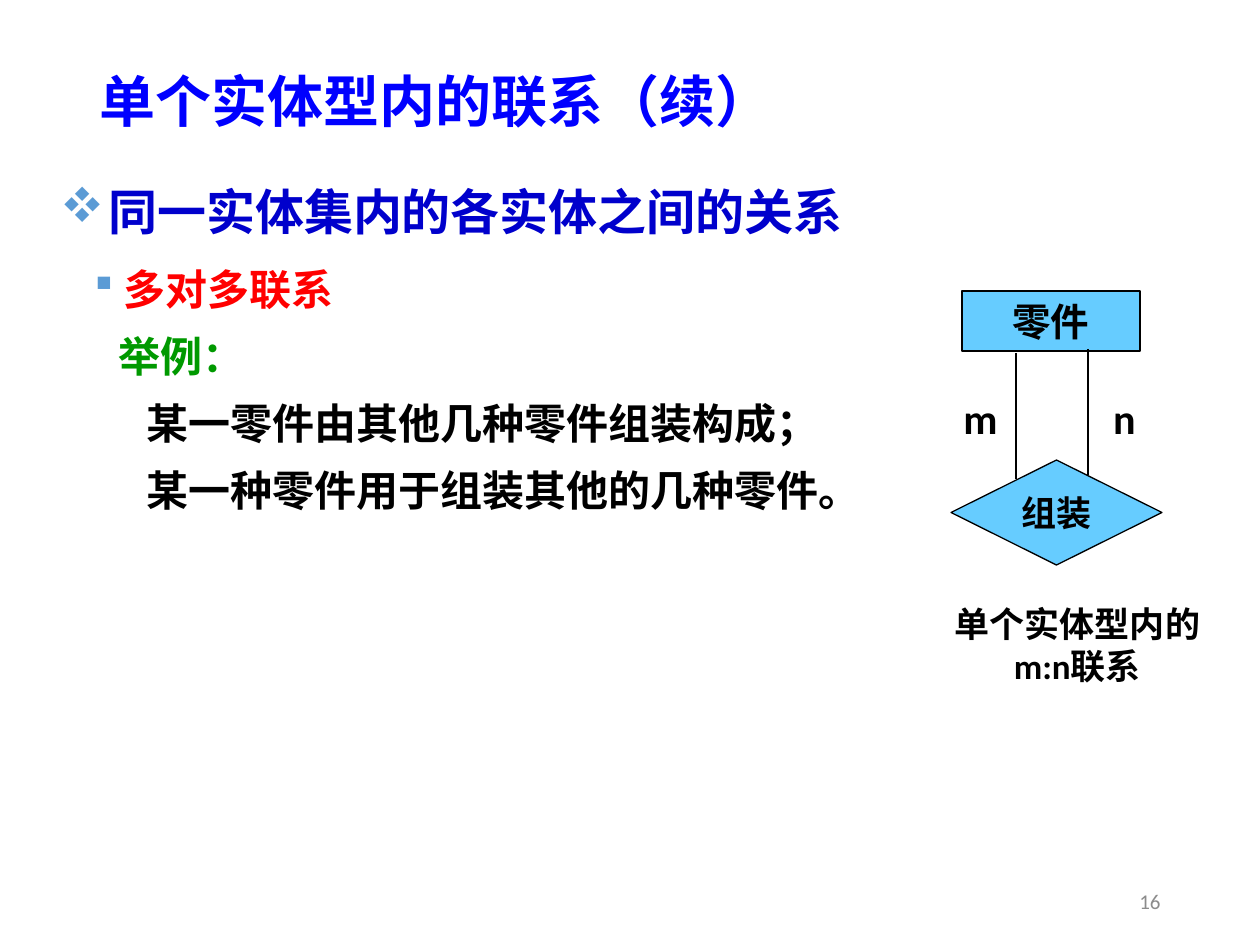
from lxml import etree
from pptx import Presentation
from pptx import util as u
from pptx.dml.color import RGBColor
from pptx.enum import shapes, text
from pptx.oxml import ns

SCALE = 914400 / 126  # EMU per px
BLACK = RGBColor(0x00, 0x00, 0x00)
TITLE_BLUE = RGBColor(0x00, 0x00, 0xFF)
HEAD_BLUE = RGBColor(0x00, 0x00, 0xCC)
RED = RGBColor(0xFF, 0x00, 0x00)
GREEN = RGBColor(0x00, 0x99, 0x00)
GREY = RGBColor(0x8C, 0x8C, 0x8C)
SKY = RGBColor(0x66, 0xCC, 0xFF)
BULLET = RGBColor(0x5B, 0x9B, 0xD5)
CJK = "Noto Sans CJK SC"
LATIN = "Calibri"


def px(*lengths):
    return [round(length * SCALE) for length in lengths]


def style(para, size, color, font=LATIN, align=text.PP_ALIGN.CENTER, bold=True):
    para.alignment = align
    for span in para.runs:
        span.font.size = u.Pt(size)
        span.font.name = font
        span.font.bold = bold
        span.font.color.rgb = color
        east = etree.SubElement(span.font._element, ns.qn("a:ea"))
        east.set("typeface", font)


deck = Presentation()
deck.slide_width, deck.slide_height = px(1260, 945)
page = deck.slides.add_slide(deck.slide_layouts[5])

# Title
title = page.shapes.title
title.left, title.top, title.width, title.height = px(87, 49, 1086, 110)
frame = title.text_frame
frame.text = "单个实体型内的联系（续）"
frame.auto_size = text.MSO_AUTO_SIZE.NONE
frame.vertical_anchor = text.MSO_ANCHOR.MIDDLE
frame.paragraphs[0].line_spacing = 0.9
style(frame.paragraphs[0], 32, TITLE_BLUE, CJK, text.PP_ALIGN.LEFT)

# Body: wording, size, colour, level, margin, indent, spacing, before, bullet
# (the bullets are Wingdings codes: v is a diamond, § a small square)
body_lines = [
    ("同一实体集内的各实体之间的关系", 28, HEAD_BLUE, 0, 48, -48, 1.1, 0, "v"),
    ("多对多联系", 24, RED, 1, 63, -29, 1.3, 5, "§"),
    ("举例：", 24, GREEN, 0, 58, 0, 1.2, 3.6, None),
    ("某一零件由其他几种零件组装构成；", 24, BLACK, 0, 86, 0, 1.2, 3.6, None),
    ("某一种零件用于组装其他的几种零件。", 24, BLACK, 0, 86, 0, 1.2, 3.6, None),
]
body = page.shapes.add_textbox(*px(48, 169, 854, 488)).text_frame
body.word_wrap = True
body.text = "\n".join(line[0] for line in body_lines)
for para, line in zip(body.paragraphs, body_lines):
    wording, size, color, level, margin, indent, spacing, before, bullet = line
    para.level = level
    para.line_spacing = spacing
    para.space_before = u.Pt(before)
    props = para._p.get_or_add_pPr()
    props.set("marL", str(px(margin)[0]))
    props.set("indent", str(px(indent)[0]))
    if bullet:
        tint = etree.SubElement(props, ns.qn("a:buClr"))
        etree.SubElement(tint, ns.qn("a:srgbClr")).set("val", str(BULLET))
        symbol = etree.SubElement(props, ns.qn("a:buFont"))
        symbol.set("typeface", "Wingdings")
        symbol.set("charset", "2")
        etree.SubElement(props, ns.qn("a:buChar")).set("char", bullet)
    style(para, size, color, CJK, text.PP_ALIGN.LEFT)

# Entity and relationship
nodes = [
    ("零件", shapes.MSO_SHAPE.RECTANGLE, (962, 291, 178, 60), 22, True),
    ("组装", shapes.MSO_SHAPE.DIAMOND, (951, 460, 211, 105), 20, False),
]
for label, kind, place, size, wrap in nodes:
    node = page.shapes.add_shape(kind, *px(*place))
    node.shadow.inherit = False
    node.fill.solid()
    node.fill.fore_color.rgb = SKY
    node.line.color.rgb = BLACK
    node.line.width = u.Pt(0.75)
    node.text_frame.text = label
    node.text_frame.word_wrap = wrap
    node.text_frame.vertical_anchor = text.MSO_ANCHOR.MIDDLE
    style(node.text_frame.paragraphs[0], size, BLACK)

# Links between them
for x, top, bottom in [(1016, 353, 479), (1088, 349, 475)]:
    link = page.shapes.add_connector(
        shapes.MSO_CONNECTOR.STRAIGHT, *px(x, top, x, bottom))
    link.line.color.rgb = BLACK
    link.line.width = u.Pt(0.75)
    etree.SubElement(link._element.spPr, ns.qn("a:effectLst"))

# Cardinalities and caption
labels = [
    ("m", (951, 386, 53, 63), 24),
    ("n", (1098, 386, 53, 63), 24),
    ("单个实体型内的m:n联系", (920, 596, 315, 97), 20),
]
for label, place, size in labels:
    frame = page.shapes.add_textbox(*px(*place)).text_frame
    frame.word_wrap = True
    frame.text = label
    style(frame.paragraphs[0], size, BLACK)

# Page number
frame = page.shapes.add_textbox(*px(890, 876, 283, 50)).text_frame
frame.word_wrap = True
frame.vertical_anchor = text.MSO_ANCHOR.MIDDLE
frame.text = "16"
style(frame.paragraphs[0], 12, GREY, align=text.PP_ALIGN.RIGHT, bold=False)

deck.save("out.pptx")
